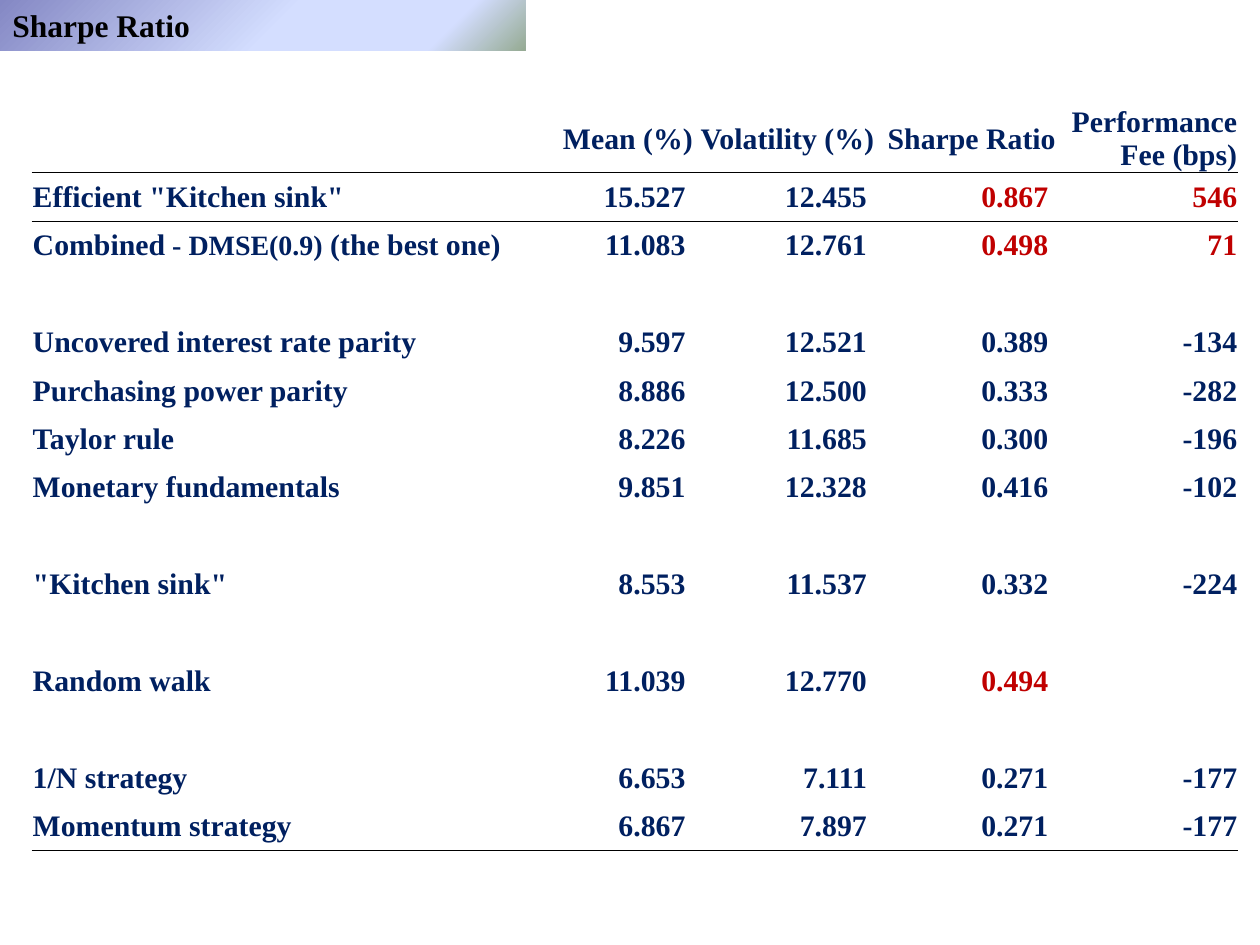
from dataclasses import dataclass

from lxml import etree
from pptx import Presentation
from pptx.dml.color import RGBColor
from pptx.enum.shapes import MSO_SHAPE as Shape
from pptx.enum.text import MSO_ANCHOR as Anchor, PP_ALIGN as Align
from pptx.oxml.ns import qn
from pptx.util import Inches, Pt

FONT = "Times New Roman"
NAVY, RED, BLACK = "002060", "C00000", "000000"
NO_STYLE = "{2D5ABB26-0587-4C30-8999-92F81FD0307C}"
LABEL_WIDTH, VALUE_WIDTH = 3.82, 1.44
HEADER_HEIGHT, BODY_HEIGHT = 0.54, 5.38
BANNER_STOPS = [(0, "8488C4"), (53, "D4DEFF"), (83, "D4DEFF"), (100, "96AB94")]
HEADINGS = ["", "Mean (%)", "Volatility (%)", "Sharpe Ratio", "Performance Fee (bps)"]


@dataclass
class Strategy:
    label: str = ""
    mean: str = ""
    volatility: str = ""
    sharpe: str = ""
    fee: str = ""
    highlighted: bool = False

    def texts(self) -> list[str]:
        """Cell texts; the decimal columns end in a space that sets them off the edge."""
        decimals = [f"{value} " if value else "" for value in (self.mean, self.volatility, self.sharpe)]
        return [self.label, *decimals, self.fee]


GAP = Strategy()
STRATEGIES = [
    Strategy('Efficient "Kitchen sink"', "15.527", "12.455", "0.867", "546", True),
    Strategy("Combined| - DMSE(0.9)| (the best one)", "11.083", "12.761", "0.498", "71", True),
    GAP,
    Strategy("Uncovered interest rate parity", "9.597", "12.521", "0.389", "-134"),
    Strategy("Purchasing power parity", "8.886", "12.500", "0.333", "-282"),
    Strategy("Taylor rule", "8.226", "11.685", "0.300", "-196"),
    Strategy("Monetary fundamentals", "9.851", "12.328", "0.416", "-102"),
    GAP,
    Strategy('"Kitchen sink"', "8.553", "11.537", "0.332", "-224"),
    GAP,
    Strategy("Random walk", "11.039", "12.770", "0.494", "", True),
    GAP,
    Strategy("1/N strategy", "6.653", "7.111", "0.271", "-177"),
    Strategy("Momentum strategy", "6.867", "7.897", "0.271", "-177"),
]


def rgb(color: str) -> RGBColor:
    return RGBColor.from_string(color)


def add_run(paragraph, text: str, size: float, color: str) -> None:
    run = paragraph.add_run()
    run.text = text
    run.font.name, run.font.size, run.font.bold = FONT, Pt(size), True
    run.font.color.rgb = rgb(color)


def add_solid_color(parent, color: str) -> None:
    fill = etree.SubElement(parent, qn("a:solidFill"))
    etree.SubElement(fill, qn("a:srgbClr"), val=color)


def add_border(cell, side: str) -> None:
    """Draw a thin rule on one side of the cell: 'T' or 'B'."""
    line = etree.Element(qn(f"a:ln{side}"), w=str(Pt(0.5)))
    add_solid_color(line, BLACK)
    cell._tc.get_or_add_tcPr().insert(0, line)


def fill_cell(cell, text: str, align: Align, color: str) -> None:
    """Write the text; parts between bars alternate between 17 and 16 points."""
    cell.fill.background()
    cell.vertical_anchor = Anchor.MIDDLE
    cell.margin_left = cell.margin_right = cell.margin_top = Inches(0.01)
    cell.margin_bottom = 0
    paragraph = cell.text_frame.paragraphs[0]
    paragraph.alignment = align
    if text:
        for index, part in enumerate(text.split("|")):
            add_run(paragraph, part, 17 - index % 2, color)


def add_strategy_table(slide) -> None:
    row_count = len(STRATEGIES) + 1
    width = LABEL_WIDTH + 4 * VALUE_WIDTH
    table = slide.shapes.add_table(
        row_count, len(HEADINGS), Inches(0.25), Inches(0.83),
        Inches(width), Inches(HEADER_HEIGHT + BODY_HEIGHT)).table
    table.first_row = table.horz_banding = False
    table._tbl.tblPr.find(qn("a:tableStyleId")).text = NO_STYLE
    for index, column in enumerate(table.columns):
        column.width = Inches(VALUE_WIDTH if index else LABEL_WIDTH)
    for index, row in enumerate(table.rows):
        row.height = Inches(BODY_HEIGHT / len(STRATEGIES) if index else HEADER_HEIGHT)

    rows = [HEADINGS] + [strategy.texts() for strategy in STRATEGIES]
    for row, texts in enumerate(rows):
        highlighted = row > 0 and STRATEGIES[row - 1].highlighted
        for column, text in enumerate(texts):
            cell = table.cell(row, column)
            color = RED if highlighted and column >= 3 else NAVY
            fill_cell(cell, text, Align.RIGHT if column else Align.LEFT, color)
            if row in (0, row_count - 1):
                add_border(cell, "B")
            elif row == 1:
                add_border(cell, "T")


def add_banner(slide, title: str) -> None:
    banner = slide.shapes.add_shape(Shape.RECTANGLE, 0, 0, Inches(4.17), Inches(0.4))
    banner.shadow.inherit = False
    banner.line.fill.background()
    banner.fill.gradient()
    banner.fill.gradient_angle = 315
    stops = banner._element.spPr.find(".//" + qn("a:gsLst"))
    for stop in list(stops):
        stops.remove(stop)
    for position, color in BANNER_STOPS:
        stop = etree.SubElement(stops, qn("a:gs"), pos=str(position * 1000))
        etree.SubElement(stop, qn("a:srgbClr"), val=color)
    stops.getparent().find(qn("a:lin")).set("scaled", "0")

    frame = banner.text_frame
    frame.word_wrap = True
    frame.vertical_anchor = Anchor.MIDDLE
    frame.paragraphs[0].alignment = Align.LEFT
    add_run(frame.paragraphs[0], title, 18, BLACK)


def main() -> None:
    presentation = Presentation()
    presentation.slide_width, presentation.slide_height = Inches(10), Inches(7.5)
    slide = presentation.slides.add_slide(presentation.slide_layouts[6])
    add_strategy_table(slide)
    add_banner(slide, "Sharpe Ratio")
    presentation.save("out.pptx")


if __name__ == "__main__":
    main()
